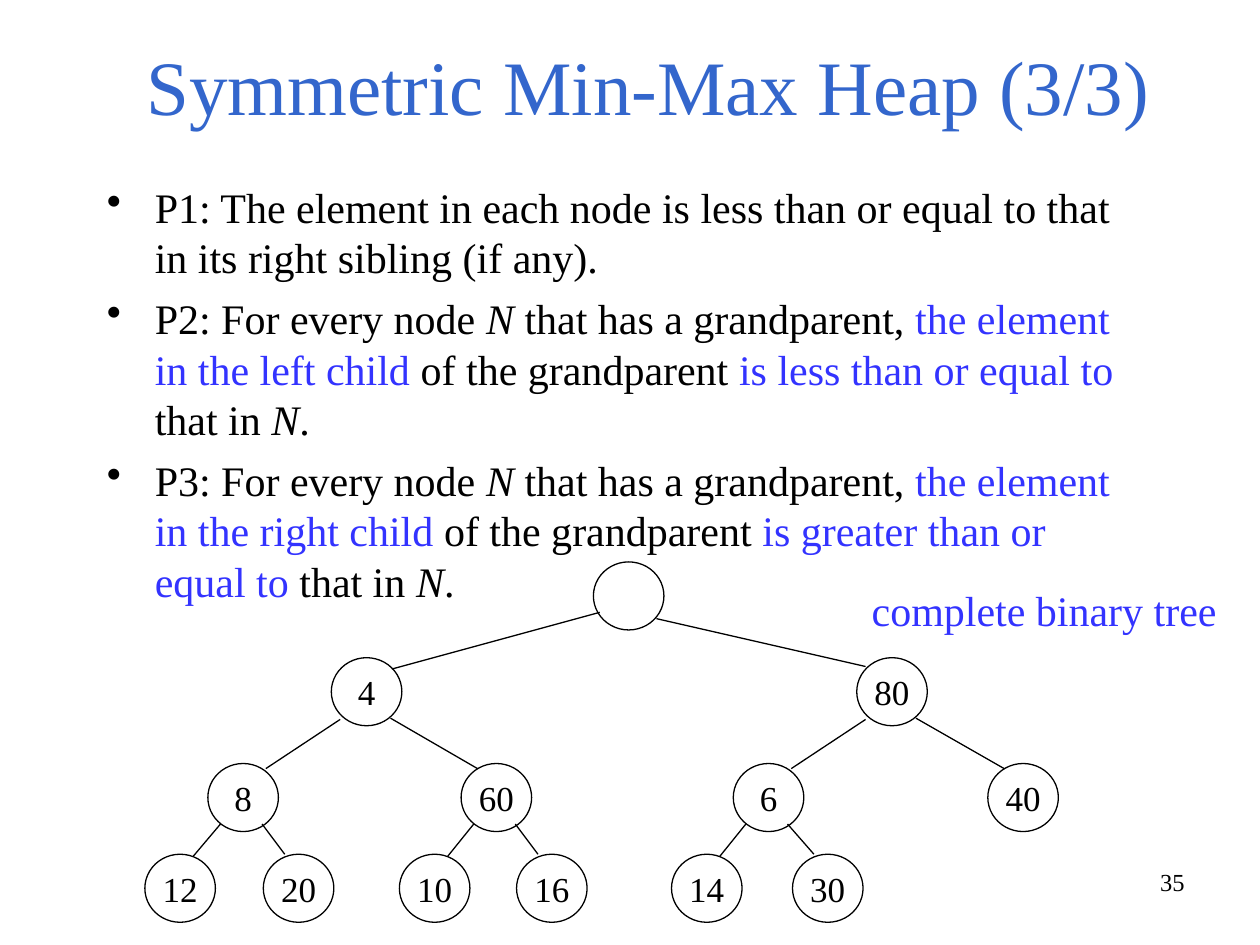
"""Build the slide on the symmetric min-max heap: properties and an example tree."""
from lxml import etree
from pptx import Presentation
from pptx.dml.color import RGBColor
from pptx.enum import shapes, text
from pptx.oxml.ns import qn
from pptx.util import Inches, Pt

BLACK = RGBColor(0x00, 0x00, 0x00)
TITLE_BLUE = RGBColor(0x33, 0x66, 0xCC)
ACCENT_BLUE = RGBColor(0x33, 0x33, 0xFF)
FONT = "Times New Roman"

deck = Presentation()
deck.slide_width, deck.slide_height = Inches(10), Inches(7.5)
slide = deck.slides.add_slide(deck.slide_layouts[6])


def add_run(paragraph, words, size, color=BLACK, italic=False):
    run = paragraph.add_run()
    run.text = words
    run.font.name = FONT
    run.font.size = Pt(size)
    run.font.color.rgb = color
    run.font.italic = italic


def add_box(left, top, width, height, wrap=True):
    box = slide.shapes.add_textbox(Inches(left), Inches(top), Inches(width), Inches(height))
    box.text_frame.word_wrap = wrap
    return box.text_frame


page_number = add_box(7.17, 6.83, 2.33, 0.52).paragraphs[0]
page_number.alignment = text.PP_ALIGN.RIGHT
add_run(page_number, "35", 14)

title = add_box(0.75, 0.35, 8.79, 0.74)
title.vertical_anchor = text.MSO_ANCHOR.BOTTOM
title.paragraphs[0].alignment = text.PP_ALIGN.CENTER
add_run(title.paragraphs[0], "Symmetric Min-Max Heap (3/3)", 44, TITLE_BLUE)

properties = [[("P1: The element in each node is less than or equal to that "
                "in its right sibling (if any).", BLACK, False)]]
for label, child, relation in [("P2", "left", "less"), ("P3", "right", "greater")]:
    properties.append([
        (f"{label}: For every node ", BLACK, False),
        ("N", BLACK, True),
        (" that has a grandparent, ", BLACK, False),
        (f"the element in the {child} child", ACCENT_BLUE, False),
        (" of the grandparent ", BLACK, False),
        (f"is {relation} than or equal to", ACCENT_BLUE, False),
        (" that in ", BLACK, False),
        ("N", BLACK, True),
        (".", BLACK, False),
    ])

body = add_box(0.75, 1.39, 8.42, 5.91)
for index, pieces in enumerate(properties):
    rule = body.add_paragraph() if index else body.paragraphs[0]
    layout = rule._p.get_or_add_pPr()
    layout.set("marL", str(Inches(0.38)))
    layout.set("indent", str(-Inches(0.38)))
    etree.SubElement(layout, qn("a:buChar")).set("char", "•")
    rule.line_spacing = Pt(28.8)
    if index:
        rule.space_before = Pt(6)
    for words, color, italic in pieces:
        add_run(rule, words, 24, color, italic)

NODE_WIDTH, NODE_HEIGHT = 0.56, 0.54
level_tops = [4.46, 5.22, 6.06, 6.78]
heap = [("", 4.71), ("4", 2.63), ("80", 6.8),
        ("8", 1.65), ("60", 3.66), ("6", 5.82), ("40", 7.84),
        ("12", 1.15), ("20", 2.09), ("10", 3.17), ("16", 4.1), ("14", 5.33), ("30", 6.29)]

# (x in parent, y, x in child, y) for the left and right branch below each level
branches = [
    [(0.05, 4.86, 0.48, 5.31), (0.5, 4.91, 0.07, 5.29)],
    [(0.07, 5.71, 0.46, 6.1), (0.47, 5.7, 0.13, 6.1)],
    [(0.1, 6.54, 0.38, 6.8), (0.43, 6.54, 0.17, 6.78)],
]

for position, (value, left) in enumerate(heap, start=1):
    level = position.bit_length() - 1
    node = slide.shapes.add_shape(
        shapes.MSO_SHAPE.OVAL, Inches(left), Inches(level_tops[level]),
        Inches(NODE_WIDTH), Inches(NODE_HEIGHT))
    node.shadow.inherit = False
    node.fill.background()
    node.line.color.rgb = BLACK
    node.line.width = Pt(0.75)
    if value:
        node.text_frame.word_wrap = False
        node.text_frame.vertical_anchor = text.MSO_ANCHOR.MIDDLE
        node.text_frame.paragraphs[0].alignment = text.PP_ALIGN.CENTER
        add_run(node.text_frame.paragraphs[0], value, 20)
    if position > 1:
        parent_left = heap[position // 2 - 1][1]
        start_x, start_y, end_x, end_y = branches[level - 1][position % 2]
        branch = slide.shapes.add_connector(
            shapes.MSO_CONNECTOR.STRAIGHT,
            Inches(parent_left + start_x), Inches(start_y),
            Inches(left + end_x), Inches(end_y))
        branch.line.color.rgb = BLACK
        branch.line.width = Pt(0.75)
        etree.SubElement(branch._element.spPr, qn("a:effectLst"))

tree_label = add_box(6.82, 4.59, 2.94, 0.5, wrap=False)
tree_label.auto_size = text.MSO_AUTO_SIZE.SHAPE_TO_FIT_TEXT
add_run(tree_label.paragraphs[0], "complete binary tree", 24, ACCENT_BLUE)

deck.save("out.pptx")
